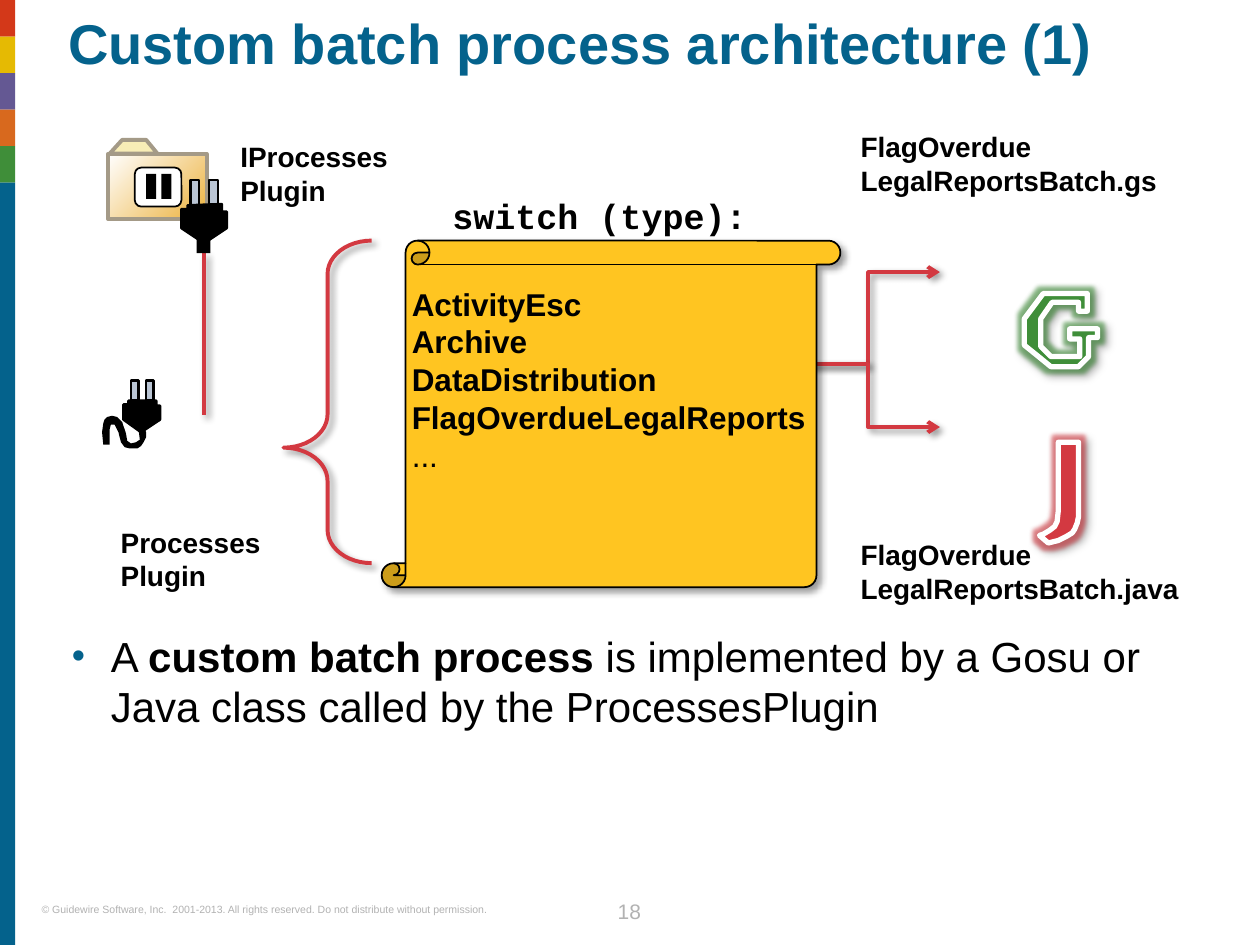
from pptx import Presentation
from pptx.dml.color import RGBColor
from pptx.enum.shapes import MSO_CONNECTOR as CONN, MSO_SHAPE as SHAPE
from pptx.enum.text import MSO_ANCHOR, PP_ALIGN
from pptx.oxml import parse_xml
from pptx.oxml.ns import nsdecls
from pptx.util import Inches, Pt

BLUE = RGBColor(0x04, 0x62, 0x8C)
GREEN = RGBColor(0x3F, 0x8E, 0x39)
ORANGE = RGBColor(0xD8, 0x69, 0x1E)
PURPLE = RGBColor(0x64, 0x58, 0x93)
YELLOW = RGBColor(0xE5, 0xBA, 0x03)
VERMILION = RGBColor(0xD3, 0x38, 0x19)
RED = RGBColor(0xD3, 0x39, 0x41)
AMBER = RGBColor(0xFF, 0xC5, 0x21)
GOLD = RGBColor(0xEC, 0xB2, 0x3D)
CREAM = RGBColor(0xF8, 0xED, 0xB6)
TAUPE = RGBColor(0xA4, 0x9A, 0x87)
STEEL = RGBColor(0xBA, 0xC5, 0xD4)
GRAY = RGBColor(0xB2, 0xB2, 0xB2)
BLACK = RGBColor(0, 0, 0)
WHITE = RGBColor(0xFF, 0xFF, 0xFF)

SHADOW = ('<a:outerShdw blurRad="50800" dist="38100" dir="2700000" algn="tl" rotWithShape="0">'
          '<a:srgbClr val="000000"><a:alpha val="40000"/></a:srgbClr></a:outerShdw>')
GLOW = '<a:glow rad="63500"><a:srgbClr val="{}"><a:alpha val="60000"/></a:srgbClr></a:glow>'


def style(sp, fill=None, line=None, width=1, effects=""):
    """Set fill, outline and effects; no fill colour leaves the fill alone."""
    if fill is not None:
        sp.fill.solid()
        sp.fill.fore_color.rgb = fill
    if line is None:
        sp.line.fill.background()
    else:
        sp.line.color.rgb = line
        sp.line.width = Pt(width)
    sp._element.spPr.append(parse_xml(
        f'<a:effectLst {nsdecls("a")}>{effects}</a:effectLst>'))


def add_text(box, text, size, inset=False, color=BLACK, bold=True, font="Arial"):
    s = slide.shapes.add_textbox(*map(Inches, box))
    tf = s.text_frame
    tf.word_wrap = True
    if not inset:
        tf.margin_left = tf.margin_right = tf.margin_top = tf.margin_bottom = 0
    tf.text = text
    for p in tf.paragraphs:
        for r in p.runs:
            r.font.name, r.font.size, r.font.bold = font, Pt(size), bold
            r.font.color.rgb = color
    return tf


prs = Presentation()
prs.slide_width, prs.slide_height = Inches(10), Inches(7.5)
slide = prs.slides.add_slide(prs.slide_layouts[1])
shapes = slide.shapes

# Title and body
title, body = shapes.title, slide.placeholders[1]
for s, box in ((title, (0.54, 0.13, 9.1, 0.81)), (body, (0.57, 5, 9.1, 2))):
    s.left, s.top, s.width, s.height = map(Inches, box)
    tf = s.text_frame
    tf.margin_left = tf.margin_right = tf.margin_top = tf.margin_bottom = 0
    tf.vertical_anchor = MSO_ANCHOR.TOP

title.text_frame.text = "Custom batch process architecture (1)"
p = title.text_frame.paragraphs[0]
p.alignment = PP_ALIGN.LEFT
p.line_spacing = 0.9
font = p.runs[0].font
font.name, font.size, font.bold = "Arial", Pt(32), True
font.color.rgb = BLUE

p = body.text_frame.paragraphs[0]
p.space_before = Pt(0)
pPr = p._p.get_or_add_pPr()
pPr.set("marL", str(Inches(0.31)))
pPr.set("indent", str(-Inches(0.31)))
for bullet in (f'<a:buClr {nsdecls("a")}><a:srgbClr val="{BLUE}"/></a:buClr>',
               f'<a:buSzPct {nsdecls("a")} val="90000"/>',
               f'<a:buFont {nsdecls("a")} typeface="Arial"/>',
               f'<a:buChar {nsdecls("a")} char="•"/>'):
    pPr.append(parse_xml(bullet))
for text, bold in (("A ", False), ("custom batch process ", True),
                   ("is implemented by a Gosu or Java class called by the ProcessesPlugin", False)):
    r = p.add_run()
    r.text = text
    r.font.name, r.font.size, r.font.bold = "Arial", Pt(24), bold
    r.font.color.rgb = BLACK

# Colour strip on the left edge
strip = shapes.add_group_shape().shapes
BAND = 0.29
bands = (VERMILION, YELLOW, PURPLE, ORANGE, GREEN, BLUE)
for i, color in enumerate(bands):
    height = 7.5 - i * BAND if color == BLUE else BAND
    style(strip.add_shape(SHAPE.RECTANGLE, 0, Inches(i * BAND), Inches(0.12), Inches(height)), color)

# Footer
add_text((0.33, 7.17, 4.02, 0.1), "© Guidewire Software, Inc.  2001-2013. All rights reserved. "
         "Do not distribute without permission.", 6, color=GRAY, bold=False)
p = add_text((4.71, 7.08, 0.57, 0.25), "18", 12, color=GRAY, bold=False).paragraphs[0]
p.alignment = PP_ALIGN.CENTER
p.line_spacing = Pt(18)

# Connectors
for kind, ends, arrow in ((CONN.ELBOW, (7.46, 2.16, 6.32, 2.89), True),
                          (CONN.ELBOW, (7.46, 3.39, 6.32, 2.89), True),
                          (CONN.STRAIGHT, (1.62, 2.01, 1.62, 3.29), False)):
    s = shapes.add_connector(kind, *map(Inches, ends))
    style(s, line=RED, width=2.25, effects=SHADOW)
    if arrow:
        s.line._get_or_add_ln().append(parse_xml(f'<a:headEnd {nsdecls("a")} type="arrow"/>'))

# Switch block and brace
scroll = shapes.add_shape(SHAPE.VERTICAL_SCROLL, Inches(3.03), Inches(1.91), Inches(3.64), Inches(2.75))
scroll.adjustments[0] = 0.069
style(scroll, AMBER, BLACK, 1, SHADOW)
brace = shapes.add_shape(SHAPE.LEFT_BRACE, Inches(2.25), Inches(1.91), Inches(0.7), Inches(2.56))
brace.adjustments[0], brace.adjustments[1] = 0.378, 0.642
brace.fill.background()
style(brace, line=RED, width=2.25, effects=SHADOW)

# Labels
add_text((0.86, 4.12, 2, 0.64), "Processes\vPlugin", 16, inset=True)
add_text((1.81, 1.06, 1.5, 0.64), "IProcesses\vPlugin", 16, inset=True)
add_text((6.83, 1.03, 2.56, 0.53), "FlagOverdue\vLegalReportsBatch.gs", 16)
add_text((6.83, 4.27, 2.56, 0.53), "FlagOverdue\vLegalReportsBatch.java", 16)
add_text((3.59, 1.54, 2.36, 0.33), "switch (type):", 20, font="Courier New")
tf = add_text((3.17, 2.21, 3.4, 1.61),
              "ActivityEsc\nArchive\vDataDistribution\vFlagOverdueLegalReports\v...", 18, inset=True)
tf.paragraphs[-1].runs[-1].font.bold = False

# Icons: preset parts and outlines in drawing order, outline points in hundredths of an inch
folder_tab = [(87, 122), (97, 111), (116, 111), (125, 122)]
big_plug = [(149, 163), (176, 162), (176, 168), (180, 168), (180, 181), (162, 193),
            (144, 181), (144, 166), (149, 166)]
cord = [(110, 341), (111, 349), (108, 351), (104, 352), (101, 350), (100, 344), (99, 341),
        (98, 338), (97, 335), (93, 331), (89, 330), (85, 331), (83, 333), (82, 336),
        (81, 343), (82, 353), (87, 353), (87, 346), (87, 341), (88, 337), (89, 337),
        (91, 337), (93, 341), (94, 343), (95, 347), (96, 351), (99, 355), (103, 356),
        (109, 356), (112, 354), (114, 351), (116, 347), (116, 343), (115, 341)]
small_plug = [(102, 318), (124, 318), (124, 322), (127, 322), (127, 333), (112, 343),
              (98, 333), (98, 321), (102, 321)]
letter_g = [(863, 247), (863, 233), (828, 233), (813, 253), (813, 274), (823, 282),
            (834, 291), (856, 291), (864, 283), (864, 268), (871, 268), (871, 261),
            (849, 261), (849, 269), (857, 269), (857, 283), (834, 283), (826, 275),
            (826, 253), (835, 240), (856, 240), (856, 247)]
letter_j = [(840, 351), (856, 351), (856, 410), (855, 415), (853, 420), (851, 423),
            (846, 426), (840, 429), (836, 430), (832, 431), (825, 425), (828, 424),
            (833, 421), (837, 418), (839, 414), (840, 405), (840, 387)]

RECT, ROUND = SHAPE.RECTANGLE, SHAPE.ROUNDED_RECTANGLE
icons = (
    ((RECT, (0.86, 1.22, 0.78, 0.52), GOLD, TAUPE, 2.25),
     (None, folder_tab, CREAM, TAUPE, 2.25),
     (ROUND, (1.07, 1.33, 0.37, 0.31), WHITE, BLACK, 1),
     (RECT, (1.16, 1.38, 0.08, 0.2), BLACK),
     (RECT, (1.28, 1.38, 0.08, 0.2), BLACK),
     (RECT, (1.51, 1.43, 0.07, 0.2), STEEL, BLACK, 1.5),
     (RECT, (1.66, 1.43, 0.07, 0.2), STEEL, BLACK, 1.5),
     (None, big_plug, BLACK, BLACK, 1.5),
     (RECT, (1.56, 1.76, 0.11, 0.25), BLACK)),
    ((RECT, (1.04, 3.02, 0.06, 0.16), STEEL, BLACK, 1.5),
     (RECT, (1.16, 3.02, 0.06, 0.16), STEEL, BLACK, 1.5),
     (None, cord, BLACK),
     (None, small_plug, BLACK, BLACK, 1.5)),
    ((None, letter_g, GREEN, WHITE, 3, GLOW.format(GREEN) + SHADOW),),
    ((None, letter_j, RED, WHITE, 3, GLOW.format(RED) + SHADOW),),
)
for parts in icons:
    group = shapes.add_group_shape().shapes
    for preset, geometry, *look in parts:
        if preset is None:
            builder = group.build_freeform(*geometry[0], scale=Inches(0.01))
            builder.add_line_segments(geometry[1:], close=True)
            s = builder.convert_to_shape()
        else:
            s = group.add_shape(preset, *map(Inches, geometry))
        style(s, *look)
        if look[0] == GOLD:
            s.fill.gradient()
            s.fill.gradient_angle = 315
            for stop, color in zip(s.fill.gradient_stops, (WHITE, GOLD)):
                stop.color.rgb = color

prs.save("out.pptx")
